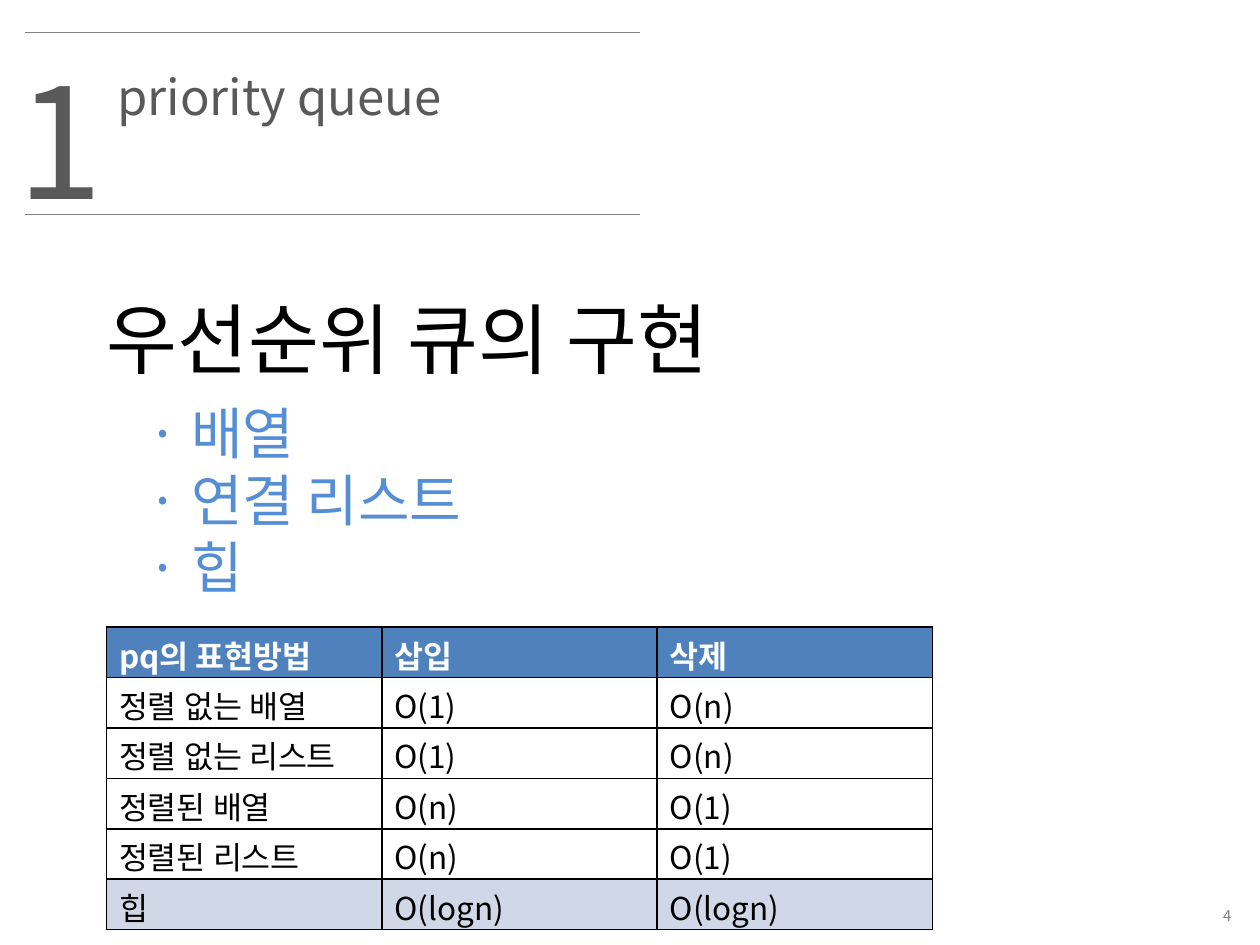
from dataclasses import dataclass

from lxml import etree
from pptx import Presentation
from pptx.dml.color import RGBColor
from pptx.enum.shapes import MSO_CONNECTOR
from pptx.enum.text import MSO_ANCHOR, PP_ALIGN
from pptx.oxml.ns import qn
from pptx.util import Pt

STRAIGHT = MSO_CONNECTOR.STRAIGHT
TOP, MIDDLE = MSO_ANCHOR.TOP, MSO_ANCHOR.MIDDLE
LEFT, RIGHT = PP_ALIGN.LEFT, PP_ALIGN.RIGHT


@dataclass(frozen=True)
class Theme:
    """Font, colours, type sizes and line rhythm of the slide."""
    font: str = "Noto Sans CJK KR"
    gray: str = "808080"
    dark: str = "595959"
    black: str = "000000"
    white: str = "FFFFFF"
    accent: str = "558ED5"
    header: str = "4F81BD"
    highlight: str = "D0D8E8"
    number: float = 88
    heading: float = 44
    bullet: float = 32
    title: float = 28
    table: float = 18
    footer: float = 8.5
    leading: float = 1.2
    drop: float = 0.09


THEME = Theme()

ROWS = [
    ("pq의 표현방법", "삽입", "삭제"),
    ("정렬 없는 배열", "O(1)", "O(n)"),
    ("정렬 없는 리스트", "O(1)", "O(n)"),
    ("정렬된 배열", "O(n)", "O(1)"),
    ("정렬된 리스트", "O(n)", "O(1)"),
    ("힙", "O(logn)", "O(logn)"),
]


def rgb(color):
    """Turn a hex string into a colour."""
    return RGBColor.from_string(color)


def format_text(tf, size, color, bold=False, align=LEFT):
    """Style every paragraph and run of a text frame."""
    for p in tf.paragraphs:
        p.alignment = align
        p.line_spacing = Pt(size * THEME.leading)
        for r in p.runs:
            r.font.name = THEME.font
            r.font.size = Pt(size)
            r.font.bold = bold
            r.font.color.rgb = rgb(color)
            ea = etree.SubElement(r.font._element, qn("a:ea"))
            ea.set("typeface", THEME.font)


def add_text(s, box, text, size, color, align=LEFT, anchor=TOP):
    """Add a wrapped text box; box is left, top, width, height."""
    sp = s.shapes.add_textbox(*map(Pt, box))
    tf = sp.text_frame
    tf.word_wrap = True
    tf.vertical_anchor = anchor
    tf.margin_top = Pt(3.6 + THEME.drop * size)
    tf.margin_bottom = 0
    tf.text = text
    format_text(tf, size, color, align=align)


def add_rule(s, left, right, y):
    """Add a thin horizontal rule."""
    line = s.shapes.add_connector(STRAIGHT, Pt(left), Pt(y), Pt(right), Pt(y))
    line.line.color.rgb = rgb(THEME.gray)
    line.line.width = Pt(0.75)
    etree.SubElement(line._element.spPr, qn("a:effectLst"))


def add_borders(cell):
    """Draw a black border on all four sides of a cell."""
    tc_pr = cell._tc.get_or_add_tcPr()
    for i, side in enumerate(("lnL", "lnR", "lnT", "lnB")):
        ln = etree.Element(qn(f"a:{side}"), w=str(Pt(1)))
        fill = etree.SubElement(ln, qn("a:solidFill"))
        etree.SubElement(fill, qn("a:srgbClr"), val=THEME.black)
        tc_pr.insert(i, ln)


def add_table(s, left, top, col_width, row_height, rows):
    """Add a bordered table with a header row and a highlighted last row."""
    n_rows, n_cols = len(rows), len(rows[0])
    frame = s.shapes.add_table(n_rows, n_cols, Pt(left), Pt(top),
                               Pt(col_width * n_cols), Pt(row_height * n_rows))
    table = frame.table
    for col in table.columns:
        col.width = Pt(col_width)
    fills = [THEME.header] + [THEME.white] * (n_rows - 2) + [THEME.highlight]
    for i, (row, fill) in enumerate(zip(rows, fills)):
        table.rows[i].height = Pt(row_height)
        for j, text in enumerate(row):
            cell = table.cell(i, j)
            cell.text = text
            cell.margin_top, cell.margin_bottom = Pt(7), 0
            cell.fill.solid()
            cell.fill.fore_color.rgb = rgb(fill)
            color = THEME.white if i == 0 else THEME.black
            format_text(cell.text_frame, THEME.table, color, bold=i == 0)
            add_borders(cell)


def main():
    """Build the slide and save it."""
    prs = Presentation()
    prs.slide_width, prs.slide_height = Pt(720), Pt(540)
    s = prs.slides.add_slide(prs.slide_layouts[6])

    add_text(s, (558.7, 511, 152, 19.5), "4", THEME.footer, THEME.gray,
             RIGHT, MIDDLE)
    for y in (18.6, 122.5):
        add_rule(s, 14.4, 365.8, y)
    add_text(s, (60, 31.7, 204, 41), "priority queue", THEME.title, THEME.dark)
    add_text(s, (3, 14.4, 57, 114), "1", THEME.number, THEME.dark)
    add_text(s, (54, 159, 486, 60.5), "우선순위 큐의 구현",
             THEME.heading, THEME.black)
    add_text(s, (77, 221, 226, 124), "· 배열\n· 연결 리스트\n· 힙",
             THEME.bullet, THEME.accent)
    add_table(s, 60.8, 358.4, 157.4, 28.8, ROWS)

    prs.save("out.pptx")


main()
